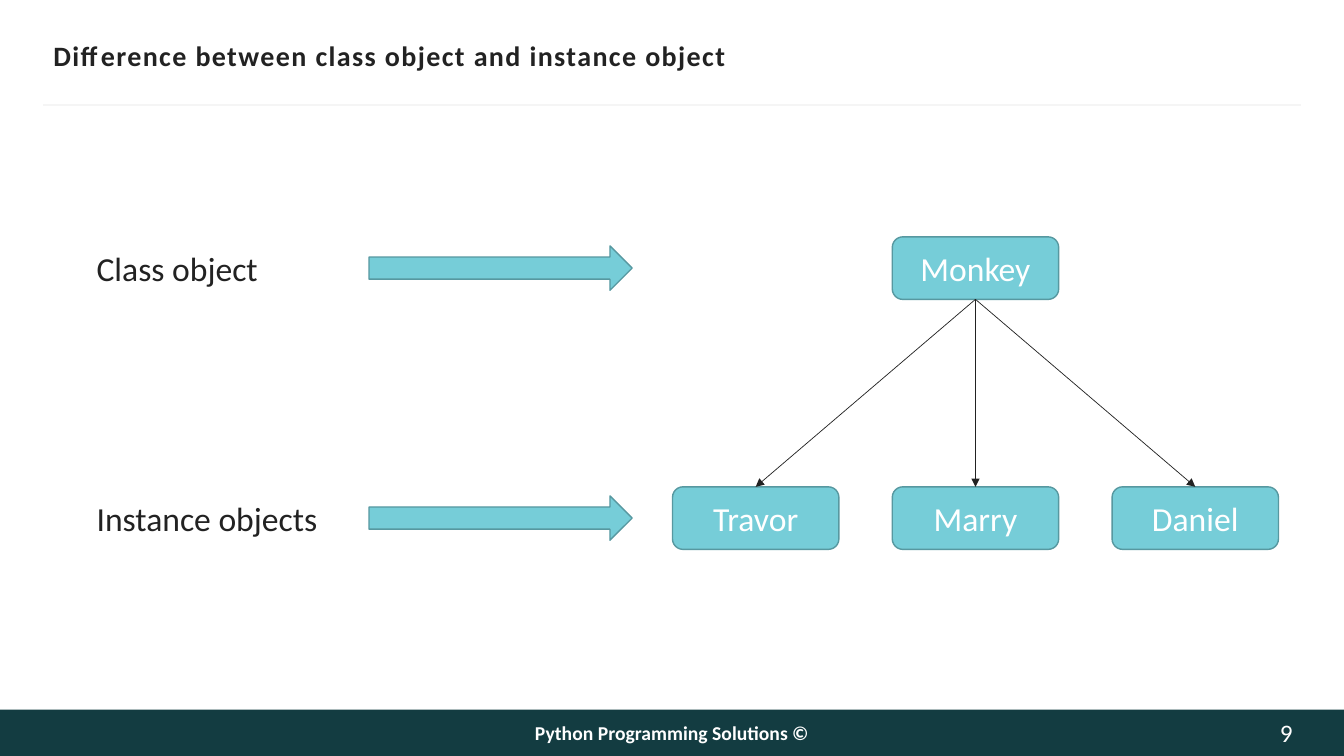
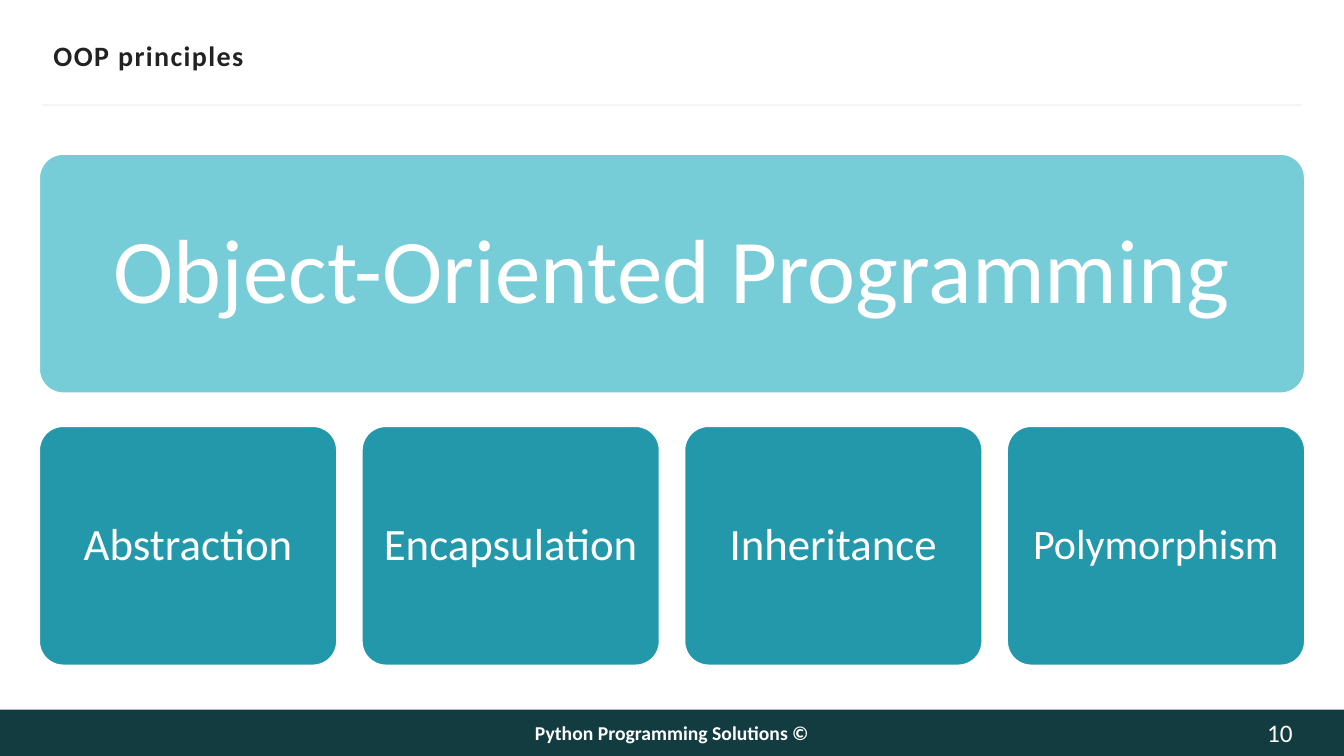
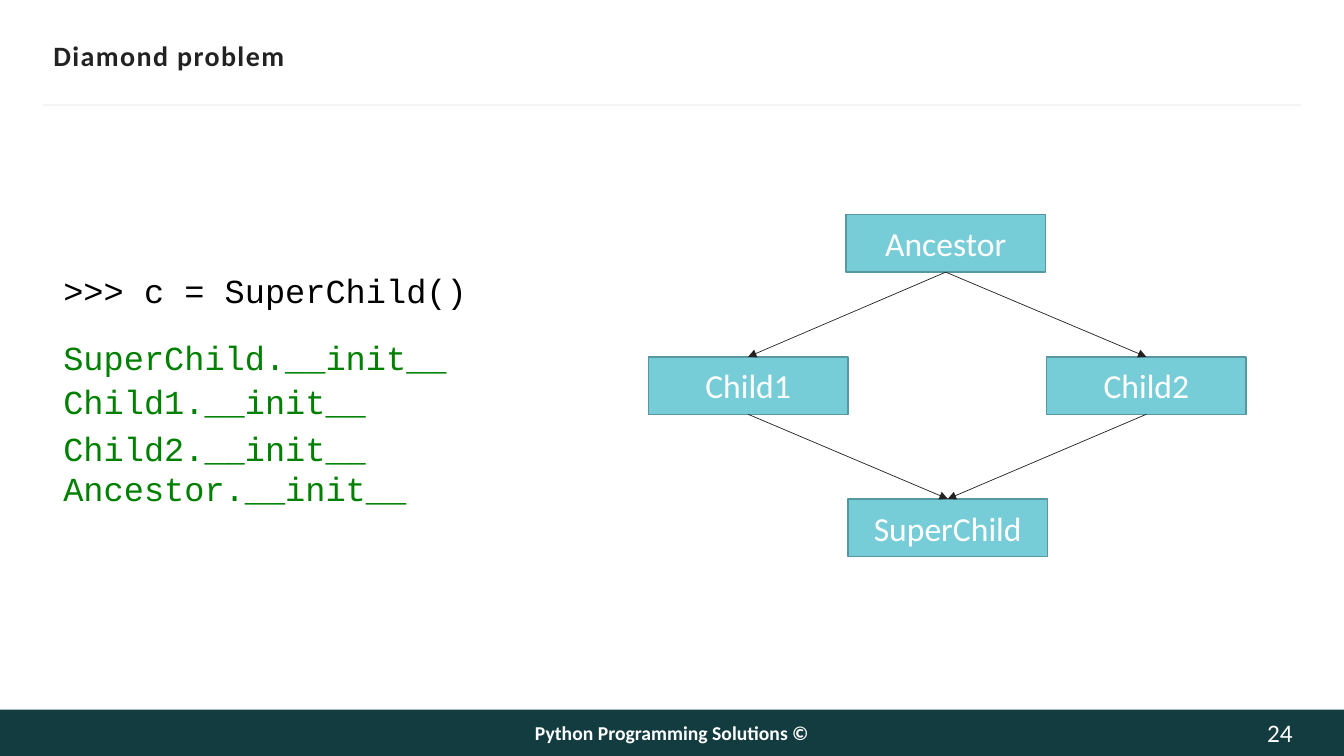
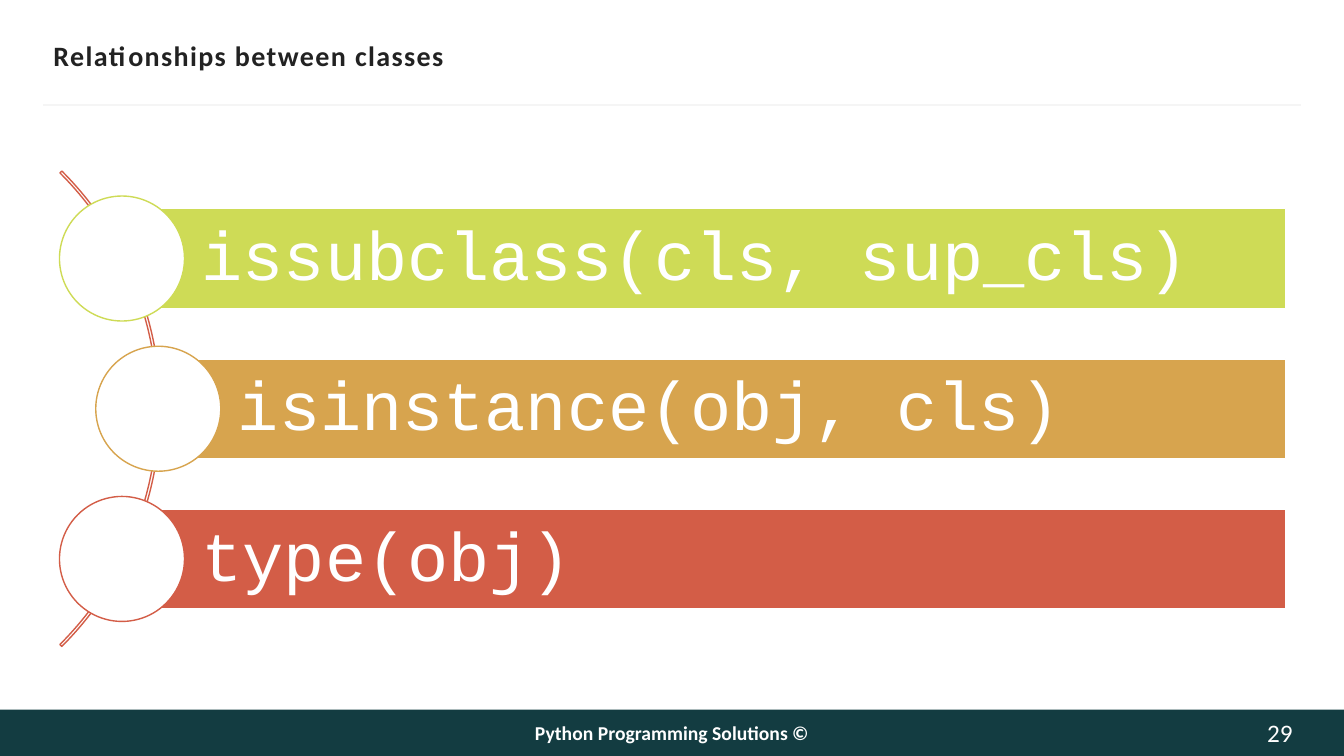
"""Build four slides on classes, objects and inheritance in Python."""
from dataclasses import dataclass
from typing import Optional

from lxml import etree
from pptx import Presentation
from pptx.dml.color import RGBColor
from pptx.enum.shapes import MSO_CONNECTOR, MSO_SHAPE
from pptx.enum.text import MSO_ANCHOR, PP_ALIGN
from pptx.oxml.ns import qn
from pptx.shapes.autoshape import Shape
from pptx.shapes.connector import Connector
from pptx.slide import Slide
from pptx.util import Inches, Pt

RECTANGLE = MSO_SHAPE.RECTANGLE
ROUNDED = MSO_SHAPE.ROUNDED_RECTANGLE
ARROW = MSO_SHAPE.RIGHT_ARROW
OVAL = MSO_SHAPE.OVAL
BLOCK_ARC = MSO_SHAPE.BLOCK_ARC
STRAIGHT = MSO_CONNECTOR.STRAIGHT
LEFT, CENTER, RIGHT = PP_ALIGN.LEFT, PP_ALIGN.CENTER, PP_ALIGN.RIGHT
TOP, MIDDLE = MSO_ANCHOR.TOP, MSO_ANCHOR.MIDDLE
TOP_SITE, BOTTOM_SITE = 0, 2

WHITE = RGBColor(0xFF, 0xFF, 0xFF)
NUMBER_WHITE = RGBColor(0xFE, 0xFE, 0xFE)
BLACK = RGBColor(0x00, 0x00, 0x00)
INK = RGBColor(0x22, 0x22, 0x22)
RULE_GREY = RGBColor(0xF5, 0xF5, 0xF5)
BAND_TEAL = RGBColor(0x13, 0x3C, 0x41)
LIGHT_TEAL = RGBColor(0x76, 0xCD, 0xD8)
EDGE_TEAL = RGBColor(0x57, 0x98, 0xA0)
MID_TEAL = RGBColor(0x22, 0x98, 0xAA)
LIME = RGBColor(0xCE, 0xDB, 0x56)
OCHRE = RGBColor(0xD7, 0xA4, 0x4E)
BRICK = RGBColor(0xD3, 0x5D, 0x47)
OUTPUT_GREEN = RGBColor(0x00, 0x80, 0x00)

SLIDE_WIDTH, SLIDE_HEIGHT = 13.33, 7.5
BAND_TOP, BAND_HEIGHT = 7.04, 0.46
BODY_FONT, CODE_FONT = "Calibri", "Courier New"
DEFAULT_INSETS = (0.1, 0.05, 0.1, 0.05)


@dataclass(frozen=True)
class Area:
    left: float
    top: float
    width: float
    height: float


@dataclass(frozen=True)
class TextStyle:
    size: float
    color: RGBColor = WHITE
    font: str = BODY_FONT
    bold: bool = False
    align: PP_ALIGN = LEFT
    anchor: MSO_ANCHOR = MIDDLE
    insets: tuple[float, float, float, float] = DEFAULT_INSETS
    line_spacing: Optional[float] = None
    tracking: float = 0


@dataclass(frozen=True)
class Principle:
    name: str
    size: float


@dataclass(frozen=True)
class CheckFunction:
    call: str
    left: float
    color: RGBColor


@dataclass(frozen=True)
class OutputLine:
    text: str
    space_before: float


TITLE = TextStyle(20, INK, bold=True, insets=(0, 0.05, 0, 0.05), tracking=1)
FOOTER = TextStyle(14, bold=True, align=CENTER)
PAGE_NUMBER = TextStyle(18, NUMBER_WHITE, align=RIGHT, insets=(0, 0, 0, 0))
NODE = TextStyle(24, align=CENTER)
LABEL = TextStyle(24, INK, anchor=TOP)
PROMPT = TextStyle(24, BLACK, CODE_FONT)
OUTPUT = TextStyle(24, OUTPUT_GREEN, CODE_FONT, anchor=TOP)
HEADLINE = TextStyle(65, align=CENTER, insets=(0.27,) * 4, line_spacing=0.9)
BAR = TextStyle(49, font=CODE_FONT, insets=(0.79, 0.14, 0.14, 0.14), line_spacing=0.9)

PRINCIPLES = (
    Principle("Abstraction", 32),
    Principle("Encapsulation", 32),
    Principle("Inheritance", 32),
    Principle("Polymorphism", 30),
)
CHECK_FUNCTIONS = (
    CheckFunction("issubclass(cls, sup_cls)", 1.21, LIME),
    CheckFunction("isinstance(obj, cls)", 1.57, OCHRE),
    CheckFunction("type(obj)", 1.21, BRICK),
)
INIT_OUTPUT = (
    OutputLine("SuperChild.__init__", 0),
    OutputLine("Child1.__init__", 3),
    OutputLine("Child2.__init__", 4.5),
    OutputLine("Ancestor.__init__", 0),
)


def write(box: Shape, text: str, style: TextStyle) -> None:
    frame = box.text_frame
    frame.text = text
    frame.word_wrap = True
    frame.vertical_anchor = style.anchor
    left, top, right, bottom = style.insets
    frame.margin_left, frame.margin_top = Inches(left), Inches(top)
    frame.margin_right, frame.margin_bottom = Inches(right), Inches(bottom)
    for para in frame.paragraphs:
        para.alignment = style.align
        if style.line_spacing:
            para.line_spacing = style.line_spacing
        for span in para.runs:
            span.font.name = style.font
            span.font.size = Pt(style.size)
            span.font.bold = style.bold
            span.font.color.rgb = style.color
            if style.tracking:
                span._r.get_or_add_rPr().set("spc", str(round(style.tracking * 100)))


def add_text(page: Slide, area: Area, text: str, style: TextStyle) -> Shape:
    box = page.shapes.add_textbox(
        Inches(area.left), Inches(area.top), Inches(area.width), Inches(area.height))
    write(box, text, style)
    return box


def add_box(page: Slide, kind: MSO_SHAPE, area: Area, fill: Optional[RGBColor],
            line: Optional[RGBColor] = None) -> Shape:
    box = page.shapes.add_shape(
        kind, Inches(area.left), Inches(area.top), Inches(area.width), Inches(area.height))
    box.shadow.inherit = False
    if fill is None:
        box.fill.background()
    else:
        box.fill.solid()
        box.fill.fore_color.rgb = fill
    if line is None:
        box.line.fill.background()
    else:
        box.line.color.rgb = line
        box.line.width = Pt(1)
    return box


def add_node(page: Slide, kind: MSO_SHAPE, area: Area, text: str) -> Shape:
    node = add_box(page, kind, area, LIGHT_TEAL, EDGE_TEAL)
    write(node, text, NODE)
    return node


def add_card(page: Slide, area: Area, text: str, fill: RGBColor, style: TextStyle) -> None:
    card = add_box(page, ROUNDED, area, fill, WHITE)
    card.adjustments[0] = 0.1
    write(card, text, style)


def add_line(page: Slide, start: tuple[float, float], end: tuple[float, float],
             color: RGBColor, width: float) -> Connector:
    line = page.shapes.add_connector(
        STRAIGHT, Inches(start[0]), Inches(start[1]), Inches(end[0]), Inches(end[1]))
    line.line.color.rgb = color
    line.line.width = Pt(width)
    etree.SubElement(line._element.spPr, qn("a:effectLst"))
    return line


def link(page: Slide, parent: Shape, child: Shape) -> None:
    line = add_line(page, (0, 0), (1, 1), INK, 0.5)
    line.begin_connect(parent, BOTTOM_SITE)
    line.end_connect(child, TOP_SITE)
    etree.SubElement(line.line._get_or_add_ln(), qn("a:tailEnd"), type="triangle")


def add_page(deck: Presentation, title: str, number: int) -> Slide:
    page = deck.slides.add_slide(deck.slide_layouts[6])
    band = add_box(page, RECTANGLE, Area(0, BAND_TOP, SLIDE_WIDTH, BAND_HEIGHT), BAND_TEAL)
    write(band, "Python Programming Solutions ©", FOOTER)
    add_line(page, (0.43, 1.04), (12.9, 1.04), RULE_GREY, 1.5)
    add_text(page, Area(0.53, 0.33, 12.29, 0.44), title, TITLE)
    add_text(page, Area(12.15, BAND_TOP, 0.67, BAND_HEIGHT), str(number), PAGE_NUMBER)
    return page


def build_objects(deck: Presentation) -> None:
    page = add_page(deck, "Difference between class object and instance object", 9)
    class_top, instance_top = 2.35, 4.83
    for label, top in (("Class object", class_top), ("Instance objects", instance_top)):
        add_text(page, Area(0.86, top + 0.06, 2.6, 0.5), label, LABEL)
        add_box(page, ARROW, Area(3.66, top + 0.09, 2.61, 0.44), LIGHT_TEAL, EDGE_TEAL)
    width, height = 1.65, 0.62
    monkey = add_node(page, ROUNDED, Area(8.85, class_top, width, height), "Monkey")
    for column, name in enumerate(("Travor", "Marry", "Daniel")):
        area = Area(6.67 + column * 2.18, instance_top, width, height)
        link(page, monkey, add_node(page, ROUNDED, area, name))


def build_principles(deck: Presentation) -> None:
    page = add_page(deck, "OOP principles", 10)
    left, height = 0.39, 2.37
    add_card(page, Area(left, 1.53, 12.55, height), "Object-Oriented Programming",
             LIGHT_TEAL, HEADLINE)
    for column, principle in enumerate(PRINCIPLES):
        style = TextStyle(principle.size, align=CENTER, insets=(0.13,) * 4, line_spacing=0.9)
        add_card(page, Area(left + column * 3.2, 4.23, 2.95, height), principle.name,
                 MID_TEAL, style)


def build_diamond(deck: Presentation) -> None:
    page = add_page(deck, "Diamond problem", 24)
    add_text(page, Area(0.53, 2.63, 4.6, 0.5), ">>> c = SuperChild()", PROMPT)
    output = add_text(page, Area(0.53, 3.29, 4.6, 1.74),
                      "\n".join(line.text for line in INIT_OUTPUT), OUTPUT)
    for para, line in zip(output.text_frame.paragraphs, INIT_OUTPUT):
        para.space_before = Pt(line.space_before)

    def add_class(name: str, left: float, row: int) -> Shape:
        return add_node(page, RECTANGLE, Area(left, 2.13 + row * 1.41, 1.98, 0.57), name)

    ancestor = add_class("Ancestor", 8.39, 0)
    children = [add_class("Child1", 6.43, 1), add_class("Child2", 10.38, 1)]
    super_child = add_class("SuperChild", 8.41, 2)
    for child in children:
        link(page, ancestor, child)
        link(page, child, super_child)


def build_relationships(deck: Presentation) -> None:
    page = add_page(deck, "Relationships between classes", 29)
    arc = add_box(page, BLOCK_ARC, Area(-5.08, 0.72, 6.67, 6.67), None, BRICK)
    for index, value in enumerate((189, 27, 0.004)):
        arc.adjustments[index] = value
    bar_right, bar_height, diameter = 12.75, 0.99, 1.24
    for row, check in enumerate(CHECK_FUNCTIONS):
        top = 2.07 + row * 1.49
        area = Area(check.left, top, bar_right - check.left, bar_height)
        write(add_box(page, RECTANGLE, area, check.color, WHITE), check.call, BAR)
        circle = Area(check.left - diameter / 2, top + (bar_height - diameter) / 2,
                      diameter, diameter)
        add_box(page, OVAL, circle, WHITE, check.color)


def main() -> None:
    deck = Presentation()
    deck.slide_width, deck.slide_height = Inches(SLIDE_WIDTH), Inches(SLIDE_HEIGHT)
    build_objects(deck)
    build_principles(deck)
    build_diamond(deck)
    build_relationships(deck)
    deck.save("out.pptx")


if __name__ == "__main__":
    main()
